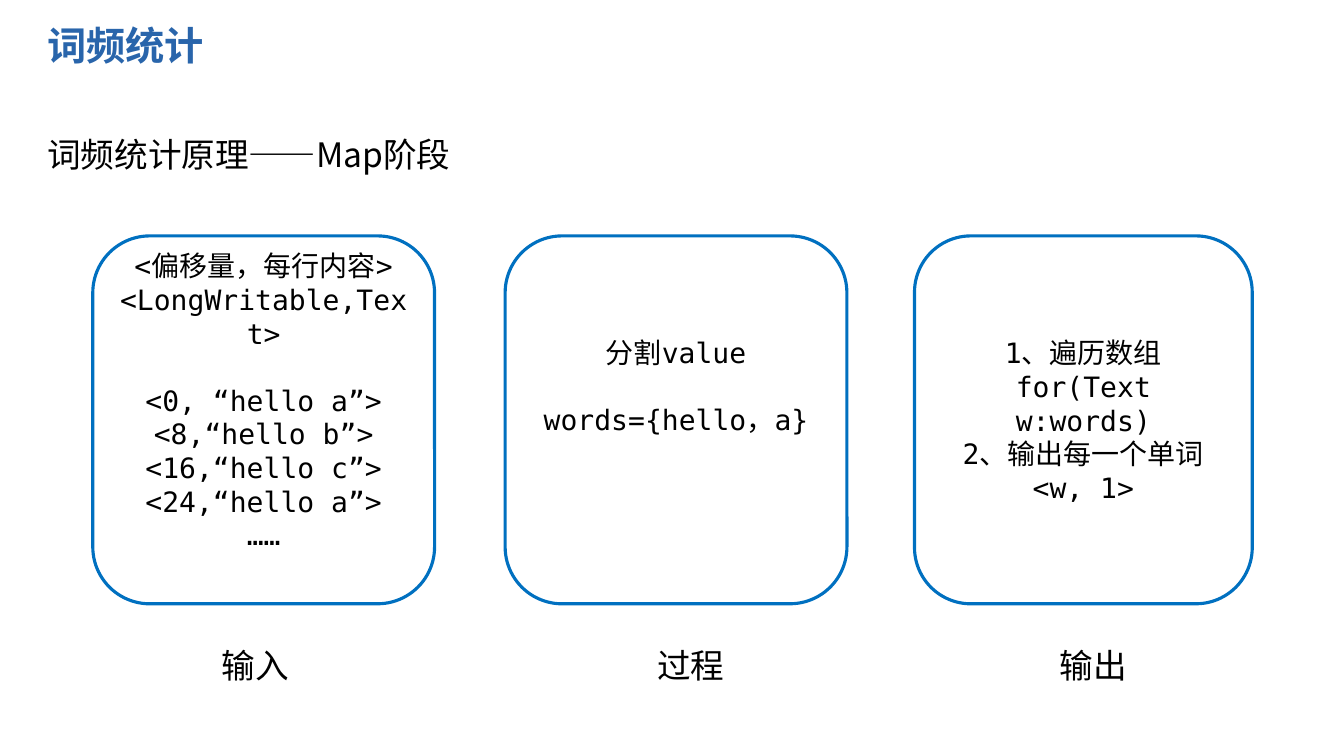
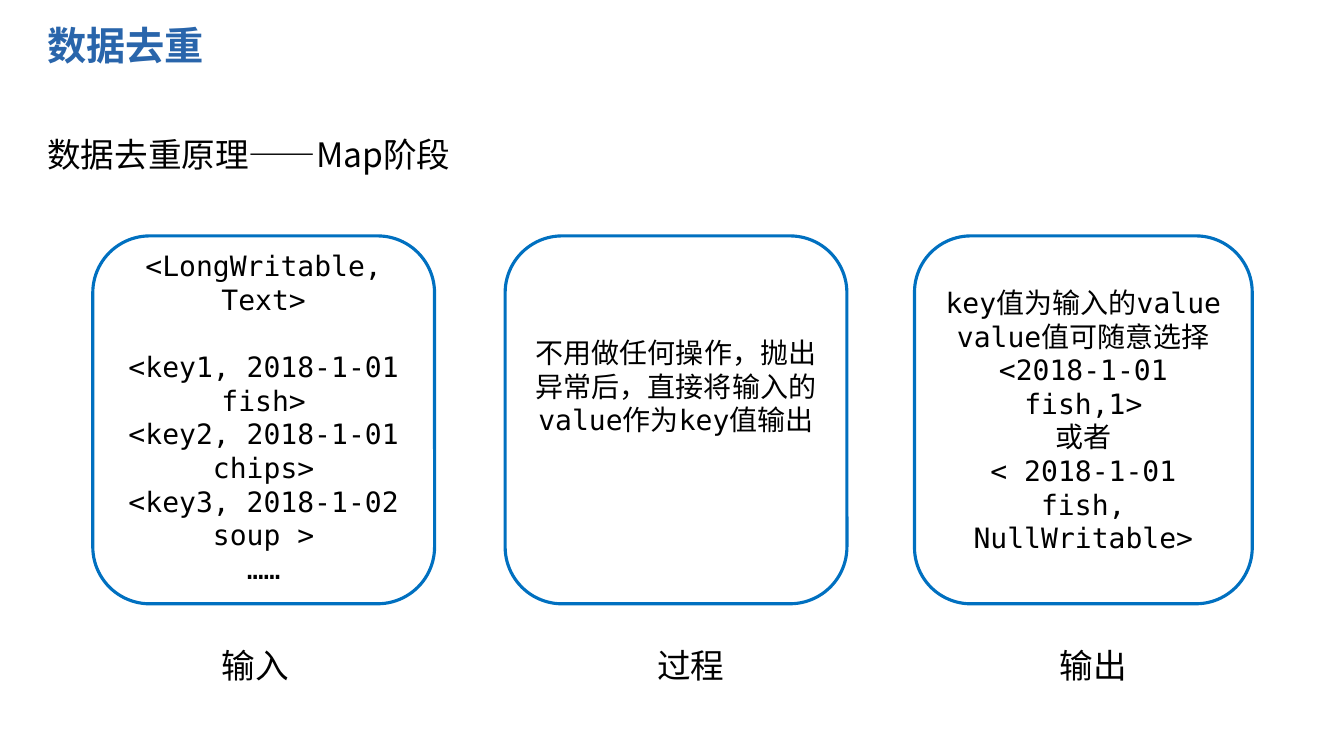
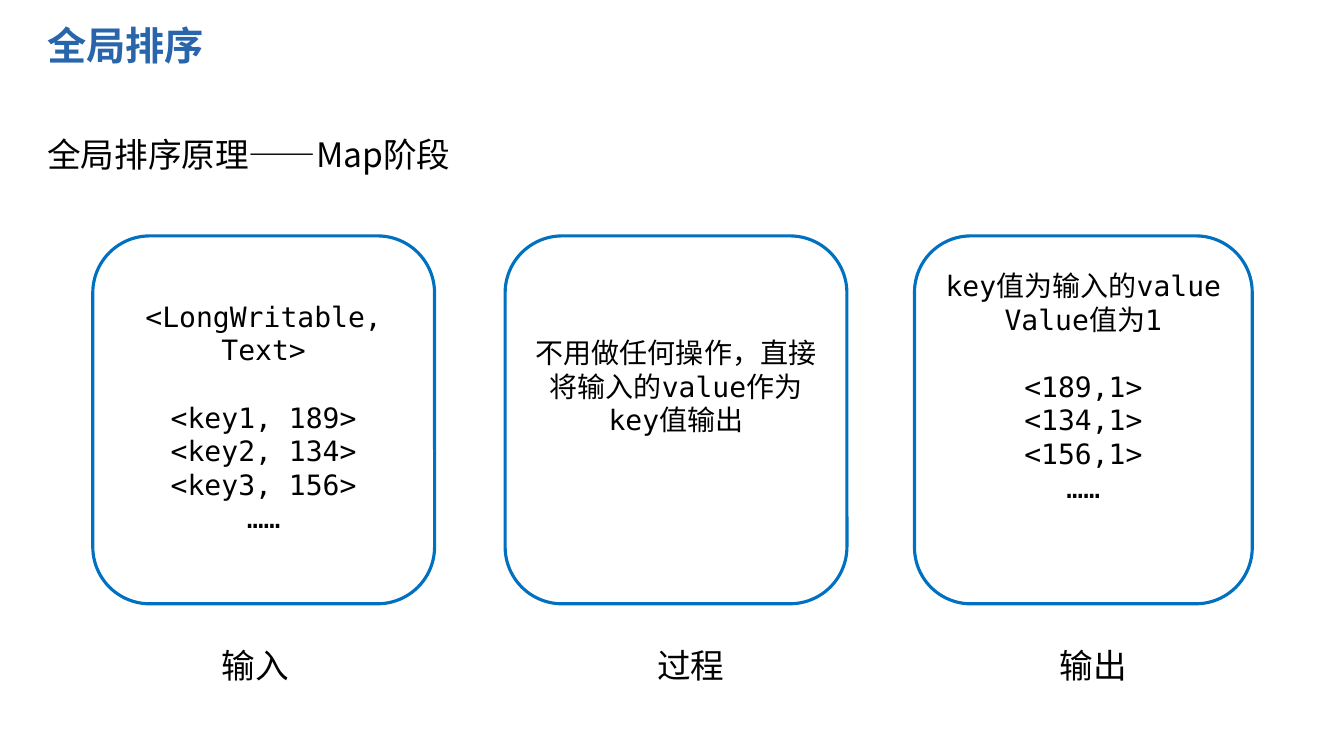
from dataclasses import dataclass

from pptx import Presentation
from pptx import util as u
from pptx.dml.color import RGBColor
from pptx.enum import shapes, text
from pptx.oxml import ns, xmlchemy


@dataclass(frozen=True)
class Theme:
    """Hold the colours, fonts and type sizes of the deck."""

    title_color: str = "2965AB"
    body_color: str = "000000"
    border_color: str = "0070C0"
    border_width: float = 2.25
    text_font: str = "Noto Sans CJK SC"
    code_font: str = "DejaVu Sans Mono"
    title_size: int = 28
    body_size: int = 24
    code_size: int = 20
    block_gap: int = 24


@dataclass(frozen=True)
class Stage:
    """Place one column: its card and the label below it."""

    label: str
    card_left: float
    card_width: float
    label_left: float


@dataclass(frozen=True)
class Card:
    """Hold blocks of lines and the extra inset that raises them."""

    blocks: tuple
    lift: float = 0


THEME = Theme()
MARGIN_LEFT = 0.37
CARD_TOP, CARD_HEIGHT = 2.34, 3.65
CARD_INSET = 0.05
LABEL_TOP, LABEL_WIDTH, LABEL_HEIGHT = 6.35, 0.88, 0.5

STAGES = (
    Stage("输入", 0.92, 3.39, 2.1),
    Stage("过程", 5.01, 3.39, 6.42),
    Stage("输出", 9.07, 3.35, 10.41),
)

TOPICS = {
    "词频统计": (
        Card((
            ("<偏移量，每行内容>", "<LongWritable,Text>"),
            ("<0, “hello a”>", "<8,“hello b”>", "<16,“hello c”>", "<24,“hello a”>", "……"),
        ), lift=0.39),
        Card((("分割value",), ("words={hello，a}",)), lift=0.67),
        Card((("1、遍历数组", "for(Text w:words)", "2、输出每一个单词", "<w, 1>"),)),
    ),
    "数据去重": (
        Card((
            ("<LongWritable, Text>",),
            ("<key1, 2018-1-01 fish>", "<key2, 2018-1-01 chips>", "<key3, 2018-1-02 soup >", "……"),
        ), lift=0.06),
        Card((("不用做任何操作，抛出异常后，直接将输入的value作为key值输出",),), lift=0.67),
        Card(((
            "key值为输入的value",
            "value值可随意选择",
            "<2018-1-01 fish,1>",
            "或者",
            "< 2018-1-01 fish, NullWritable>",
        ),)),
    ),
    "全局排序": (
        Card((
            ("<LongWritable, Text>",),
            ("<key1, 189>", "<key2, 134>", "<key3, 156>", "……"),
        ), lift=0.06),
        Card((("不用做任何操作，直接将输入的value作为key值输出",),), lift=0.67),
        Card((
            ("key值为输入的value", "Value值为1"),
            ("<189,1>", "<134,1>", "<156,1>", "……"),
        ), lift=0.67),
    ),
}


def write_text(paragraph, content, *, size=THEME.body_size, font=THEME.text_font,
               color=THEME.body_color, bold=False, align=text.PP_ALIGN.LEFT,
               space_before=0, line_spacing=None):
    """Write one formatted run into a paragraph."""
    paragraph.alignment = align
    paragraph.space_before = u.Pt(space_before)
    if line_spacing:
        paragraph.line_spacing = line_spacing
    run = paragraph.add_run()
    run.text = content
    run.font.size = u.Pt(size)
    run.font.name = font
    run.font.bold = bold
    run.font.color.rgb = RGBColor.from_string(color)
    east_asian = xmlchemy.OxmlElement("a:ea")
    east_asian.set("typeface", font)
    run.font._element.find(ns.qn("a:latin")).addnext(east_asian)


def add_textbox(slide, content, left, top, width, height, *, wrap=True, **text_format):
    """Add a text box holding one formatted paragraph."""
    box = slide.shapes.add_textbox(*map(u.Inches, (left, top, width, height)))
    box.text_frame.word_wrap = wrap
    write_text(box.text_frame.paragraphs[0], content, **text_format)


def add_card(slide, stage, card):
    """Add an outlined rounded card with centred blocks of lines."""
    shape = slide.shapes.add_shape(
        shapes.MSO_SHAPE.ROUNDED_RECTANGLE,
        *map(u.Inches, (stage.card_left, CARD_TOP, stage.card_width, CARD_HEIGHT)))
    shape.shadow.inherit = False
    shape.fill.background()
    shape.line.color.rgb = RGBColor.from_string(THEME.border_color)
    shape.line.width = u.Pt(THEME.border_width)
    frame = shape.text_frame
    frame.word_wrap = True
    frame.vertical_anchor = text.MSO_ANCHOR.MIDDLE
    frame.margin_top = u.Inches(CARD_INSET)
    frame.margin_bottom = u.Inches(CARD_INSET + card.lift)
    for block_index, block in enumerate(card.blocks):
        for line_index, line in enumerate(block):
            is_first = block_index == line_index == 0
            paragraph = frame.paragraphs[0] if is_first else frame.add_paragraph()
            opens_block = block_index > 0 and line_index == 0
            write_text(paragraph, line, size=THEME.code_size, font=THEME.code_font,
                       align=text.PP_ALIGN.CENTER,
                       space_before=THEME.block_gap if opens_block else 0)


def add_topic_slide(presentation, title, cards):
    """Add a slide showing the three stages of one topic."""
    slide = presentation.slides.add_slide(presentation.slide_layouts[6])
    add_textbox(slide, title, MARGIN_LEFT, 0.21, 5.32, 0.58, size=THEME.title_size,
                color=THEME.title_color, bold=True, line_spacing=0.9)
    add_textbox(slide, f"{title}原理——Map阶段", MARGIN_LEFT, 1.28, 12.28, 0.5)
    for stage, card in zip(STAGES, cards):
        add_card(slide, stage, card)
        add_textbox(slide, stage.label, stage.label_left, LABEL_TOP,
                    LABEL_WIDTH, LABEL_HEIGHT, wrap=False)


def main():
    """Build and save the presentation."""
    presentation = Presentation()
    presentation.slide_width = u.Inches(13.33)
    presentation.slide_height = u.Inches(7.5)
    for title, cards in TOPICS.items():
        add_topic_slide(presentation, title, cards)
    presentation.save("out.pptx")


if __name__ == "__main__":
    main()
